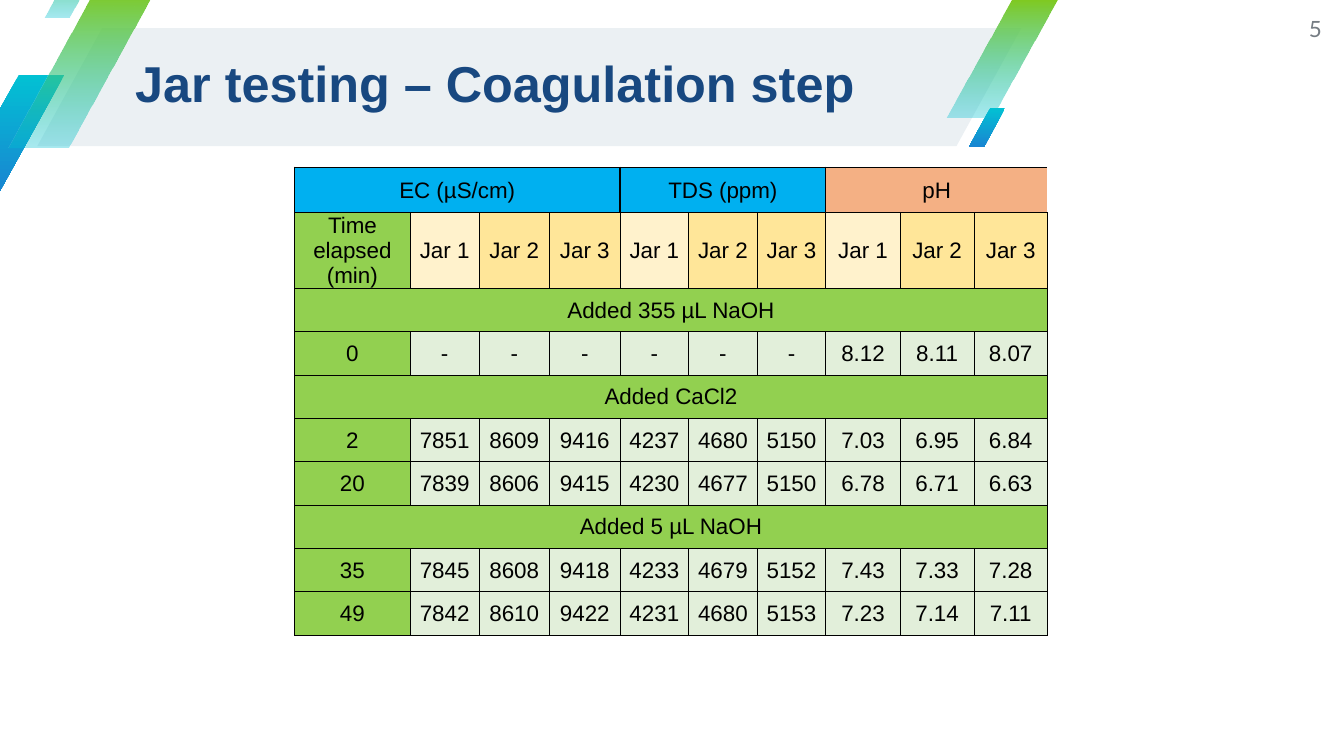
"""Build the jar testing slide with its banner and results table."""
from dataclasses import dataclass

from lxml.etree import SubElement as Sub
from pptx import Presentation
from pptx.dml.color import RGBColor as Rgb
from pptx.enum.shapes import MSO_SHAPE as Kind
from pptx.enum.text import MSO_ANCHOR as Anchor, MSO_AUTO_SIZE as Auto, PP_ALIGN as Align
from pptx.oxml.ns import qn
from pptx.util import Inches, Pt


@dataclass(frozen=True)
class Theme:
    font: str = "Arial"
    page_font: str = "Lato"
    head_size: int = 36
    size: int = 16
    head: str = "184880"
    page: str = "757C83"
    ink: str = "000000"
    band: str = "EBF0F3"
    blue: tuple = (("02C1D3", 100), ("1985D2", 100))
    green: tuple = (("7FCA20", 100), ("02C1D3", 34))
    sky: str = "00B0F0"
    peach: str = "F4B084"
    lime: str = "92D050"
    cream: str = "FFF2CC"
    sand: str = "FFE699"
    mint: str = "E2EFDA"


THEME = Theme()
SLANTS = [
    (-0.46, 0.74, 1.1, 1.17, THEME.blue),
    (9.39, 0, 1.1, 1.17, THEME.green),
    (0.08, -0.1, 1.46, 1.56, THEME.green),
    (0.44, -0.48, 0.61, 0.65, THEME.green),
    (9.61, 1.07, 0.36, 0.39, THEME.blue),
]
WIDTHS = [1.15, 0.68, 0.7, 0.7, 0.68, 0.68, 0.68, 0.74, 0.73, 0.73]
HEIGHTS = [0.45, 0.75] + [0.43] * 8
GROUPS = [
    ("EC (µS/cm)", 0, 4, THEME.sky, "LRTB"),
    ("TDS (ppm)", 4, 3, THEME.sky, "LRTB"),
    ("pH", 7, 3, THEME.peach, "LTB"),
]
JARS = ["Jar 1", "Jar 2", "Jar 3"]
ROWS = [
    ["Added 355 µL NaOH"],
    ["0", "-", "-", "-", "-", "-", "-", "8.12", "8.11", "8.07"],
    ["Added CaCl2"],
    ["2", "7851", "8609", "9416", "4237", "4680", "5150", "7.03", "6.95", "6.84"],
    ["20", "7839", "8606", "9415", "4230", "4677", "5150", "6.78", "6.71", "6.63"],
    ["Added 5 µL NaOH"],
    ["35", "7845", "8608", "9418", "4233", "4679", "5152", "7.43", "7.33", "7.28"],
    ["49", "7842", "8610", "9422", "4231", "4680", "5153", "7.23", "7.14", "7.11"],
]


def place(shape, *box):
    shape.left, shape.top, shape.width, shape.height = map(Inches, box)


def write(frame, text, align, font, size, color, bold=False):
    para = frame.paragraphs[0]
    para.alignment = align
    run = para.add_run()
    run.text = text
    run.font.name, run.font.size, run.font.bold = font, Pt(size), bold
    run.font.color.rgb = Rgb.from_string(color)
    return para


def set_frame(frame):
    frame.margin_left = frame.margin_right = frame.margin_top = frame.margin_bottom = 0
    frame.word_wrap = True
    frame.auto_size = Auto.NONE
    frame.vertical_anchor = Anchor.MIDDLE


def add_slant(slide, box, ratio):
    shape = slide.shapes.add_shape(Kind.PARALLELOGRAM, *map(Inches, box))
    shape.adjustments[0] = ratio
    shape.shadow.inherit = False
    shape.line.fill.background()
    return shape.fill


def add_fade(slide, box, stops):
    fill = add_slant(slide, box, 0.59)
    fill.gradient()
    fill.gradient_angle = 270
    for stop, (color, alpha) in zip(fill.gradient_stops, stops):
        stop.color.rgb = Rgb.from_string(color)
    nodes = fill._xPr.iter(qn("a:srgbClr"))
    for node, (color, alpha) in zip(nodes, stops):
        if alpha < 100:
            Sub(node, qn("a:alpha"), val=str(alpha * 1000))


def add_edges(cell, sides, width):
    props = cell._tc.get_or_add_tcPr()
    for side in sides:
        line = Sub(props, qn(f"a:ln{side}"), w=str(Pt(width)))
        fill = Sub(line, qn("a:solidFill"))
        Sub(fill, qn("a:srgbClr"), val=THEME.ink)


def put(grid, row, col, text, color, span=1, sides="LRTB", top=0.5, rest=0.5):
    cell = grid.cell(row, col)
    if span > 1:
        cell.merge(grid.cell(row, col + span - 1))
    for step in range(span):
        part = grid.cell(row, col + step)
        for side in sides:
            add_edges(part, side, top if side == "T" else rest)
        part.fill.solid()
        part.fill.fore_color.rgb = Rgb.from_string(color)
    cell.margin_left = cell.margin_right = cell.margin_top = Inches(0.01)
    cell.margin_bottom = 0
    cell.vertical_anchor = Anchor.MIDDLE
    write(cell.text_frame, text, Align.CENTER, THEME.font, THEME.size, THEME.ink)


def add_grid(slide):
    box = 2.92, 1.66, sum(WIDTHS), sum(HEIGHTS)
    grid = slide.shapes.add_table(len(HEIGHTS), len(WIDTHS), *map(Inches, box)).table
    grid.first_row = grid.horz_banding = False
    for col, width in zip(grid.columns, WIDTHS):
        col.width = Inches(width)
    for row, height in zip(grid.rows, HEIGHTS):
        row.height = Inches(height)
    for text, col, span, color, sides in GROUPS:
        put(grid, 0, col, text, color, span, sides, 1, 1)
    put(grid, 1, 0, "Time elapsed (min)", THEME.lime, top=1)
    for col, text in enumerate(JARS * 3, 1):
        put(grid, 1, col, text, THEME.cream if text == JARS[0] else THEME.sand, top=1)
    for row, items in enumerate(ROWS, 2):
        span = len(WIDTHS) if len(items) == 1 else 1
        for col, text in enumerate(items):
            put(grid, row, col, text, THEME.mint if col else THEME.lime, span)


def add_title(slide, text):
    title = slide.shapes.title
    place(title, 1.34, 0.26, 8.79, 1.19)
    set_frame(title.text_frame)
    para = write(title.text_frame, text, Align.LEFT, THEME.font,
                 THEME.head_size, THEME.head, True)
    para.line_spacing = 0.9
    title.element.getparent().append(title.element)


def add_page(slide, text):
    box = slide.shapes.add_textbox(*map(Inches, (12.48, 0, 0.63, 0.57)))
    set_frame(box.text_frame)
    write(box.text_frame, text, Align.RIGHT, THEME.page_font, THEME.size, THEME.page)


def main():
    deck = Presentation()
    deck.slide_width, deck.slide_height = Inches(13.33), Inches(7.5)
    slide = deck.slides.add_slide(deck.slide_layouts[5])
    band = add_slant(slide, (0.37, 0.28, 9.76, 1.17), 0.55)
    band.solid()
    band.fore_color.rgb = Rgb.from_string(THEME.band)
    for *box, stops in SLANTS:
        add_fade(slide, box, stops)
    add_title(slide, "Jar testing – Coagulation step")
    add_page(slide, "5")
    add_grid(slide)
    deck.save("out.pptx")


if __name__ == "__main__":
    main()
